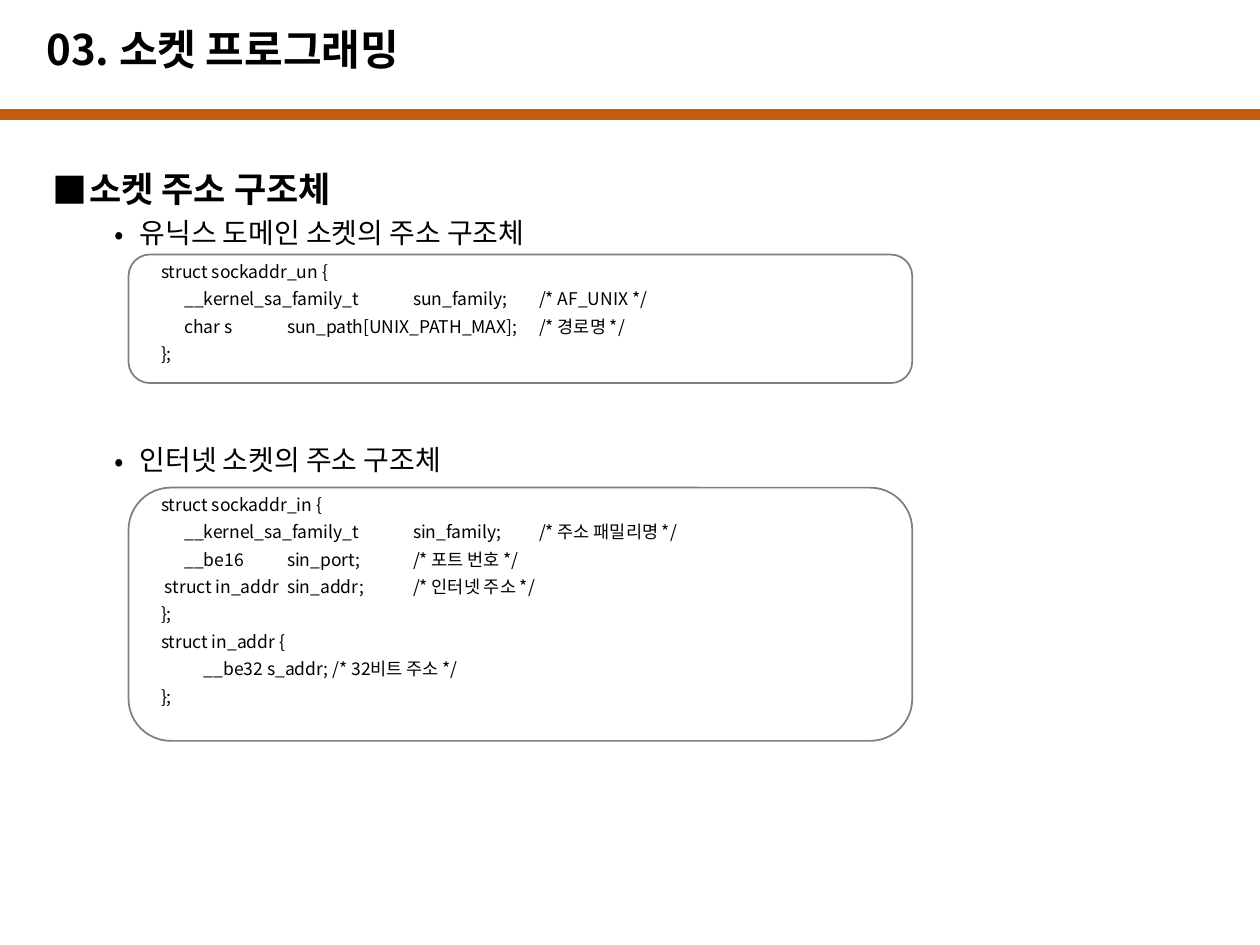
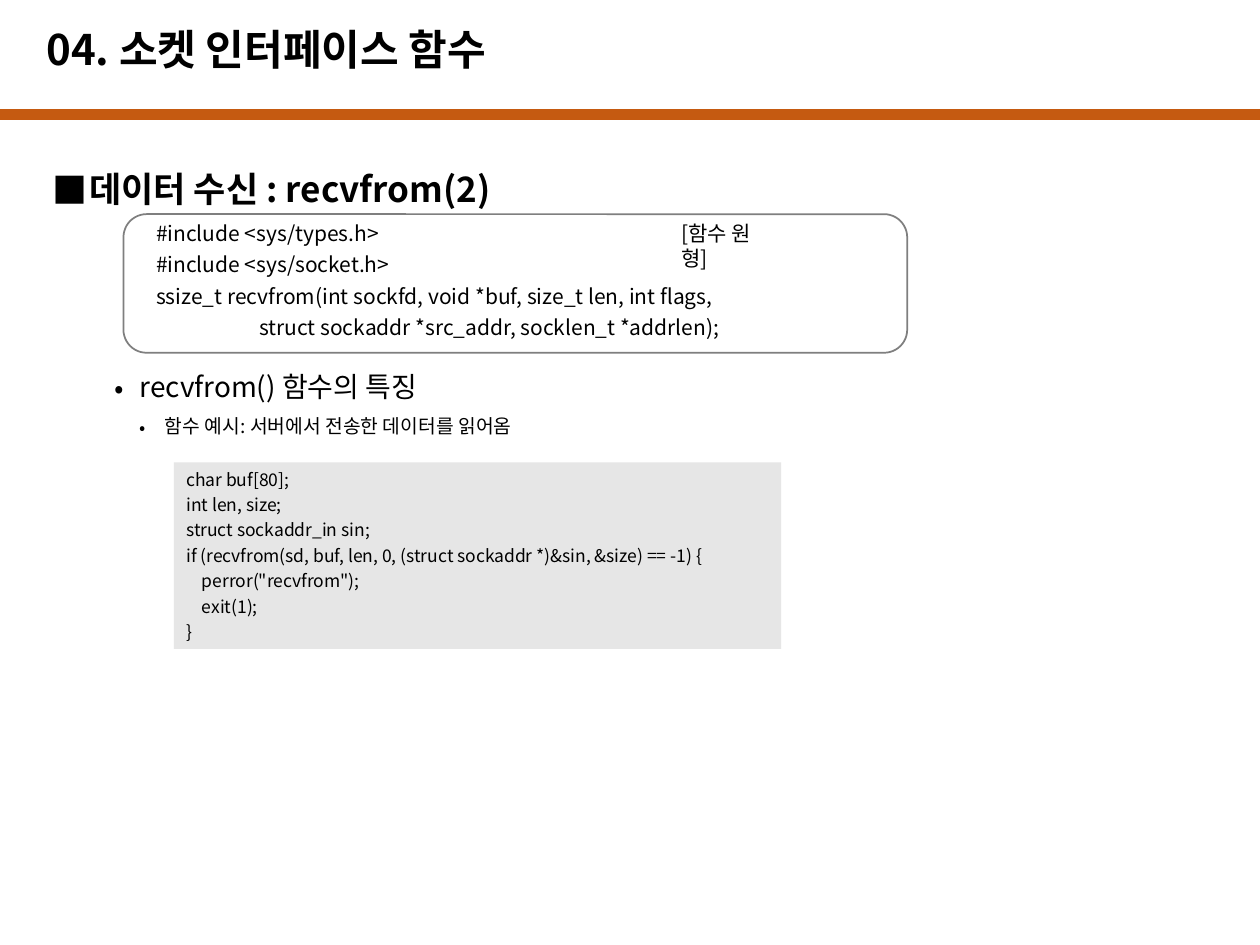
from pptx import Presentation
from pptx.dml.color import RGBColor
from pptx.enum.shapes import MSO_CONNECTOR as Link, MSO_SHAPE as Kind
from pptx.enum.text import MSO_ANCHOR as Anchor
from pptx.oxml.ns import qn
from pptx.util import Inches, Pt
from lxml.etree import SubElement as Sub

FONT = "Noto Sans CJK KR"
BLACK, ORANGE, GRAY, PALE = "000000", "C55A11", "7F7F7F", "E6E6E6"
HEAD = dict(size=20, bold=True, mark="■", left=0.29, hang=0.29, lead=1.5)
ITEM = dict(size=16, mark="•", left=0.69, hang=0.2, level=1, before=3.7, after=3)
NOTE = dict(ITEM, size=11, left=0.89, level=2, scale=96)
CODE = dict(size=10, before=1.8, after=1.8)
PROTO = dict(CODE, size=12)
DEMO = dict(size=10, before=2.5)


def hue(code):
    return RGBColor.from_string(code)


def write(frame, text, size=10, bold=False, mark=None, scale=100, left=0, hang=0,
          level=0, lead=None, before=0, after=0, stops=()):
    first = not frame.text
    para = frame.paragraphs[0] if first else frame.add_paragraph()
    para.level = level
    props = para._p.get_or_add_pPr()
    props.set("marL", str(Inches(left)))
    props.set("indent", str(-Inches(hang)))
    if mark:
        Sub(Sub(props, qn("a:buClr")), qn("a:srgbClr"), val=BLACK)
        Sub(props, qn("a:buSzPct"), val=str(scale * 1000))
        Sub(props, qn("a:buFont"), typeface=FONT)
        Sub(props, qn("a:buChar"), char=mark)
    else:
        Sub(props, qn("a:buNone"))
    if stops:
        tabs = Sub(props, qn("a:tabLst"))
        for stop in stops:
            Sub(tabs, qn("a:tab"), pos=str(Inches(stop)), algn="l")
    if lead:
        para.line_spacing = lead
    para.space_before = Pt(0 if first else before)
    para.space_after = Pt(after)
    run = para.add_run()
    run.text = text
    run.font.size = Pt(size)
    run.font.bold = bold
    run.font.name = FONT
    run.font.color.rgb = hue(BLACK)
    Sub(run._r.get_or_add_rPr(), qn("a:ea"), typeface=FONT)


def text_box(slide, x, y, w, h):
    frame = slide.shapes.add_textbox(*map(Inches, (x, y, w, h))).text_frame
    frame.word_wrap = True
    return frame


def panel(slide, kind, x, y, w, h, fill=None, line=None):
    shape = slide.shapes.add_shape(kind, *map(Inches, (x, y, w, h)))
    shape.shadow.inherit = False
    if fill:
        shape.fill.solid()
        shape.fill.fore_color.rgb = hue(fill)
    else:
        shape.fill.background()
    if line:
        shape.line.color.rgb = hue(line)
        shape.line.width = Pt(1)
    else:
        shape.line.fill.background()
    return shape


def listing(frame, lines, style):
    for line in lines:
        text, *stops = line if isinstance(line, tuple) else (line,)
        write(frame, text, stops=stops, **style)


def code_box(slide, x, y, h, lines, style=CODE):
    panel(slide, Kind.ROUNDED_RECTANGLE, x, y, 6.22, h, line=GRAY)
    listing(text_box(slide, x + 0.16, y, 6.1, h - 0.1), lines, style)


def demo_box(slide, x, y, w, h, lines):
    frame = panel(slide, Kind.RECTANGLE, x, y, w, h, fill=PALE).text_frame
    frame.word_wrap = True
    frame.vertical_anchor = Anchor.TOP
    listing(frame, lines, DEMO)
    for para in frame.paragraphs:
        para._p.get_or_add_pPr().set("algn", "l")


def new_slide(deck, title, body):
    slide = deck.slides.add_slide(deck.slide_layouts[6])
    band = slide.shapes.add_connector(
        Link.STRAIGHT, 0, Inches(0.91), deck.slide_width, Inches(0.91))
    band.line.color.rgb = hue(ORANGE)
    band.line.width = Pt(6)
    Sub(band._element.spPr, qn("a:effectLst"))
    frame = text_box(slide, 0.32, 1.11, 9.45, 5.98)
    for text, style in body:
        write(frame, text, **style)
    top = text_box(slide, 0.27, 0.11, 8.27, 0.6)
    top.vertical_anchor = Anchor.MIDDLE
    write(top, title, size=24, bold=True, lead=0.9)
    return slide


def address(deck):
    slide = new_slide(deck, "03. 소켓 프로그래밍", [
        ("소켓 주소 구조체", HEAD),
        ("유닉스 도메인 소켓의 주소 구조체", ITEM),
        ("인터넷 소켓의 주소 구조체", dict(ITEM, before=107.3)),
    ])
    code_box(slide, 1.02, 2.02, 1.02, [
        "struct sockaddr_un {",
        ("      __kernel_sa_family_t\tsun_family;\t/* AF_UNIX */", 1.7, 3.41),
        ("      char s\tsun_path[UNIX_PATH_MAX];\t/* 경로명 */", 1.25, 3.36),
        "};",
    ])
    code_box(slide, 1.02, 3.87, 2.01, [
        "struct sockaddr_in {",
        ("      __kernel_sa_family_t\tsin_family;\t/* 주소 패밀리명 */", 1.7, 3.21),
        ("      __be16\tsin_port;\t/* 포트 번호 */", 1.28, 2.76),
        (" struct in_addr\tsin_addr;\t/* 인터넷 주소 */", 1.44, 2.91),
        "};",
        "struct in_addr {",
        "           __be32 s_addr; /* 32비트 주소 */",
        "};",
    ])


def receive(deck):
    slide = new_slide(deck, "04. 소켓 인터페이스 함수", [
        ("데이터 수신 : recvfrom(2)", HEAD),
        ("recvfrom() 함수의 특징", dict(ITEM, before=91.5)),
        ("함수 예시: 서버에서 전송한 데이터를 읽어옴", NOTE),
    ])
    code_box(slide, 0.98, 1.7, 1.1, [
        "#include <sys/types.h>",
        "#include <sys/socket.h>",
        "ssize_t recvfrom(int sockfd, void *buf, size_t len, int flags,",
        "                      struct sockaddr *src_addr, socklen_t *addrlen);",
    ], PROTO)
    write(text_box(slide, 5.31, 1.7, 0.95, 0.3), "[함수 원형]", **PROTO)
    demo_box(slide, 1.38, 3.67, 4.82, 1.48, [
        "char buf[80];",
        "int len, size;",
        "struct sockaddr_in sin;",
        "if (recvfrom(sd, buf, len, 0, (struct sockaddr *)&sin, &size) == -1) {",
        "    perror(\"recvfrom\");",
        "    exit(1);",
        "}",
    ])


def main():
    deck = Presentation()
    deck.slide_width, deck.slide_height = Inches(10), Inches(7.5)
    address(deck)
    receive(deck)
    deck.save("out.pptx")


if __name__ == "__main__":
    main()
